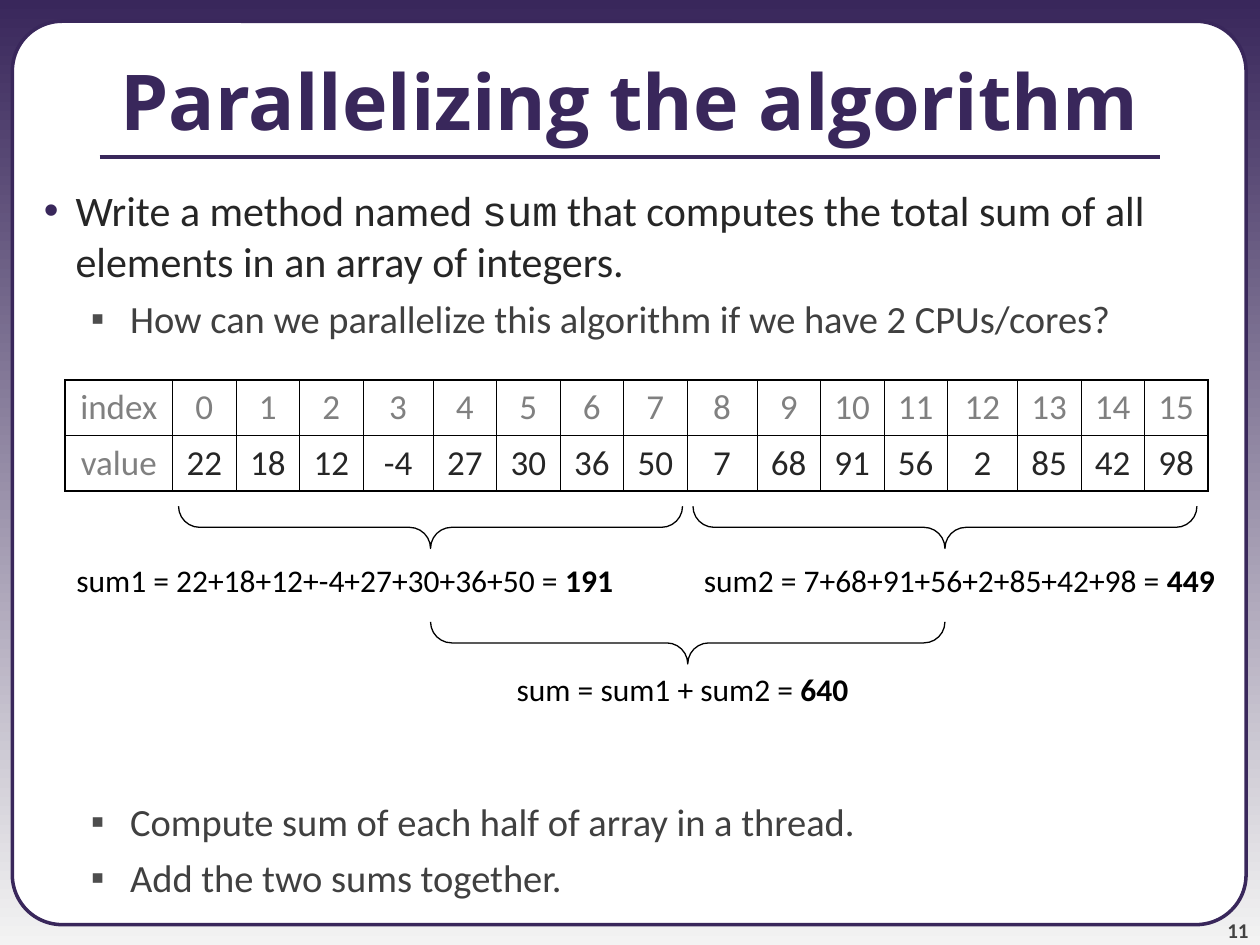
from lxml import etree
from pptx import Presentation
from pptx.dml.color import RGBColor
from pptx.enum.shapes import MSO_CONNECTOR, MSO_SHAPE
from pptx.enum.text import MSO_ANCHOR, MSO_AUTO_SIZE, PP_ALIGN
from pptx.oxml.ns import qn
from pptx.util import Cm, Pt

LEFT_BRACE, ROUND_RECT = MSO_SHAPE.LEFT_BRACE, MSO_SHAPE.ROUNDED_RECTANGLE
STRAIGHT = MSO_CONNECTOR.STRAIGHT
CENTER, LEFT, RIGHT = PP_ALIGN.CENTER, PP_ALIGN.LEFT, PP_ALIGN.RIGHT
MIDDLE, TOP, BOTTOM = MSO_ANCHOR.MIDDLE, MSO_ANCHOR.TOP, MSO_ANCHOR.BOTTOM
NO_FIT, GROW = MSO_AUTO_SIZE.NONE, MSO_AUTO_SIZE.SHAPE_TO_FIT_TEXT

COLORS = {
    "purple": "39275B", "pale": "F3F3F3", "white": "FFFFFF", "black": "000000",
    "text": "262626", "subtext": "404040", "bullet": "4D4D4D",
    "label": "808080", "number": "424242",
}


def rgb(name):
    return RGBColor.from_string(COLORS[name])


def add_run(p, text, size, color, font="Calibri", bold=False):
    r = p.add_run()
    r.text = text
    r.font.size = Pt(size)
    r.font.name = font
    r.font.bold = bold
    r.font.color.rgb = rgb(color)


prs = Presentation()
prs.slide_width, prs.slide_height = Cm(25.4), Cm(19.05)
s = prs.slides.add_slide(prs.slide_layouts[1])
title, body = s.shapes.title, s.placeholders[1]

fill = s.background.fill
fill.gradient()
fill.gradient_angle = 270
for stop, name in zip(fill.gradient_stops, ("purple", "pale")):
    stop.color.rgb = rgb(name)

panel = s.shapes.add_shape(ROUND_RECT, Cm(0.25), Cm(0.43), Cm(24.87), Cm(18.21))
panel.adjustments[0] = 0.055
panel.shadow.inherit = False
panel.fill.solid()
panel.fill.fore_color.rgb = rgb("white")
panel.line.color.rgb = rgb("purple")
panel.line.width = Pt(2)
s.shapes._spTree.insert(2, panel._element)

rule = s.shapes.add_connector(STRAIGHT, Cm(2.01), Cm(3.17), Cm(23.39), Cm(3.17))
rule.line.color.rgb = rgb("purple")
rule.line.width = Pt(2.25)
etree.SubElement(rule._element.spPr, qn("a:effectLst"))

tb = s.shapes.add_textbox(Cm(23.06), Cm(17.98), Cm(2.11), Cm(1.02))
tf = tb.text_frame
tf.word_wrap = True
tf.vertical_anchor = BOTTOM
tf.margin_left = tf.margin_right = tf.margin_top = tf.margin_bottom = 0
tf.paragraphs[0].alignment = RIGHT
add_run(tf.paragraphs[0], "11", 12, "number", bold=True)

title.left, title.top, title.width, title.height = Cm(0), Cm(0.42), Cm(25.4), Cm(3.18)
tf = title.text_frame
tf.auto_size = NO_FIT
tf.vertical_anchor = MIDDLE
tf.paragraphs[0].alignment = CENTER
add_run(tf.paragraphs[0], "Parallelizing the algorithm", 44, "purple", "Open Sans", True)

body.left, body.top, body.width, body.height = Cm(0), Cm(3.6), Cm(25.4), Cm(15.45)
tf = body.text_frame
tf.auto_size = NO_FIT
tf.vertical_anchor = TOP
items = [
    (0, 6, [("Write a method named ", "Calibri"), ("sum", "Courier New"),
            (" that computes the total sum of all elements in an array of integers.", "Calibri")]),
    (1, 5.5, [("How can we parallelize this algorithm if we have 2 CPUs/cores?", "Calibri")]),
    (1, 261, [("Compute sum of each half of array in a thread.", "Calibri")]),
    (1, 5.5, [("Add the two sums together.", "Calibri")]),
]
levels = [(24, "text", 1.27, 0.64, "•", "purple"), (22, "subtext", 2.37, 0.79, "▪", "bullet")]
for i, (level, before, runs) in enumerate(items):
    size, color, margin, hang, char, char_color = levels[level]
    p = tf.paragraphs[0] if i == 0 else tf.add_paragraph()
    p.level = level
    p.alignment = LEFT
    p.space_before = Pt(before)
    for text, font in runs:
        add_run(p, text, size, color, font)
    pPr = p._p.get_or_add_pPr()
    pPr.set("marL", str(Cm(margin)))
    pPr.set("indent", str(-Cm(hang)))
    buClr = etree.SubElement(pPr, qn("a:buClr"))
    etree.SubElement(buClr, qn("a:srgbClr"), val=COLORS[char_color])
    etree.SubElement(pPr, qn("a:buChar"), char=char)

values = [22, 18, 12, -4, 27, 30, 36, 50, 7, 68, 91, 56, 2, 85, 42, 98]
rows = [["index", *range(len(values))], ["value", *values]]
widths = [2.17] + [1.41 if i in (3, 8, 12) else 1.28 for i in range(len(values))]
last_col = len(widths) - 1
table = s.shapes.add_table(2, len(widths), Cm(1.31), Cm(7.66), Cm(sum(widths)), Cm(2.24)).table
table.first_row = table.horz_banding = False
for col, width in zip(table.columns, widths):
    col.width = Cm(width)
for i, row in enumerate(rows):
    table.rows[i].height = Cm(1.12)
    for j, value in enumerate(row):
        cell = table.cell(i, j)
        outer = {"lnL": j == 0, "lnR": j == last_col, "lnT": i == 0, "lnB": i == 1}
        for side, is_outer in outer.items():
            ln = etree.SubElement(cell._tc.get_or_add_tcPr(), qn(f"a:{side}"),
                                  w=str(Pt(1.08 if is_outer else 0.45)))
            line_fill = etree.SubElement(ln, qn("a:solidFill"))
            etree.SubElement(line_fill, qn("a:srgbClr"), val=COLORS["black"])
        cell.fill.background()
        p = cell.text_frame.paragraphs[0]
        p.alignment = CENTER
        p.space_before = Pt(5)
        add_run(p, str(value), 20, "label" if i == 0 or j == 0 else "text")

half1, half2, thick = 8.68, 19.05, 0.85
braces = [(half1, 10.63, 10.16), (half2, 10.63, 10.16),
          ((half1 + half2) / 2, 12.96, half2 - half1)]
for x, y, length in braces:
    brace = s.shapes.add_shape(LEFT_BRACE, Cm(x - thick / 2), Cm(y - length / 2),
                               Cm(thick), Cm(length))
    brace.rotation = 270
    brace.adjustments[0] = 0.5
    brace.shadow.inherit = False
    brace.fill.background()
    brace.line.color.rgb = rgb("black")
    brace.line.width = Pt(0.75)

sums = [
    (6.95, 11.18, 11.4, "sum1 = 22+18+12+-4+27+30+36+50 = ", "191"),
    (19.34, 11.18, 11, "sum2 = 7+68+91+56+2+85+42+98 = ", "449"),
    (13.76, 13.39, 7.2, "sum = sum1 + sum2 = ", "640"),
]
for center, y, width, formula, result in sums:
    tb = s.shapes.add_textbox(Cm(center - width / 2), Cm(y), Cm(width), Cm(1.02))
    tf = tb.text_frame
    tf.word_wrap = False
    tf.auto_size = GROW
    p = tf.paragraphs[0]
    p.alignment = CENTER
    add_run(p, formula, 18, "black")
    add_run(p, result, 18, "black", bold=True)

prs.save("out.pptx")
